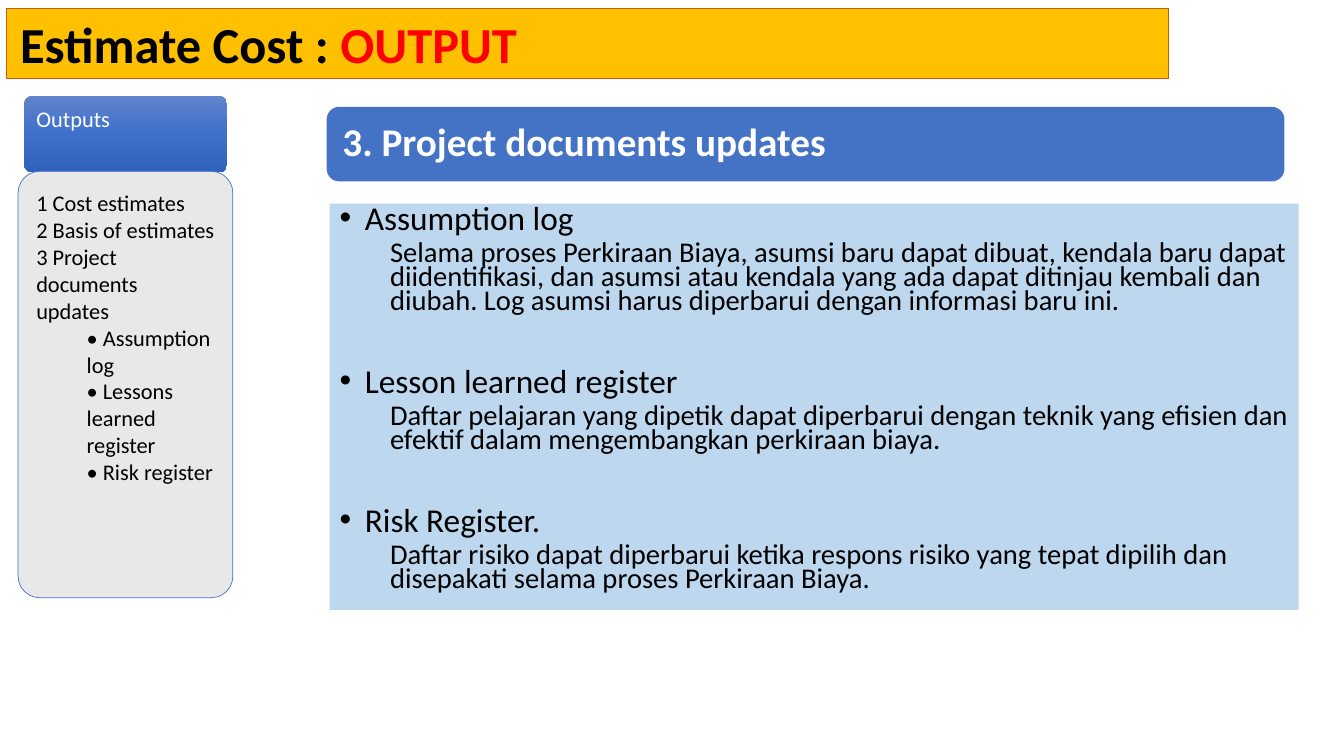
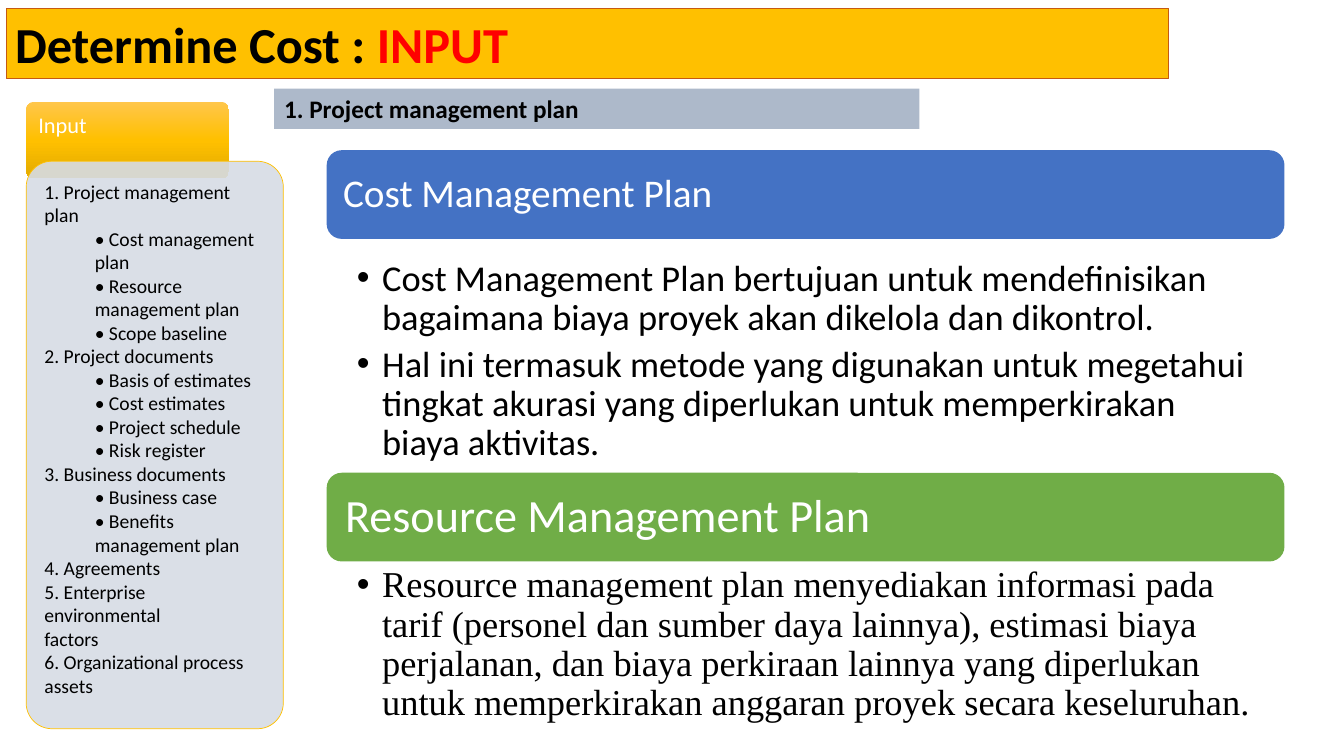
"""Build two slides on project cost inputs and outputs."""
from copy import deepcopy

from lxml import etree
from pptx import Presentation
from pptx.dml.color import RGBColor
from pptx.enum import shapes, text
from pptx.oxml.ns import qn
from pptx.util import Inches, Pt

BLACK = RGBColor(0x00, 0x00, 0x00)
WHITE = RGBColor(0xFF, 0xFF, 0xFF)
RED = RGBColor(0xFF, 0x00, 0x00)
AMBER = RGBColor(0xFF, 0xC0, 0x00)
RUST = RGBColor(0xC5, 0x5A, 0x11)
BLUE = RGBColor(0x44, 0x72, 0xC4)
GREEN = RGBColor(0x70, 0xAD, 0x47)
PALE_BLUE = RGBColor(0xBD, 0xD7, 0xEE)
SLATE = RGBColor(0xAD, 0xB9, 0xCA)
LIGHT_GREY = RGBColor(0xE7, 0xE6, 0xE6)
LIGHT_SLATE = RGBColor(0xD6, 0xDC, 0xE5)
BLUE_SHADES = [RGBColor(0x61, 0x83, 0xCB), RGBColor(0x3E, 0x70, 0xCA), RGBColor(0x30, 0x62, 0xBB)]
AMBER_SHADES = [RGBColor(0xFF, 0xC6, 0x4B), AMBER, RGBColor(0xE3, 0xAB, 0x00)]

FONT = "Calibri"
SERIF = "Times New Roman"
CARD_ROUNDING = 0.1
CORNER_INSET = 0.29

OUTPUTS = [
    (0, "1 Cost estimates"),
    (0, "2 Basis of estimates"),
    (0, "3 Project documents updates"),
    (1, "• Assumption log"),
    (1, "• Lessons learned register"),
    (1, "• Risk register"),
]
INPUTS = [
    (0, "1. Project management plan"),
    (1, "• Cost management plan"),
    (1, "• Resource management plan"),
    (1, "• Scope baseline"),
    (0, "2. Project documents"),
    (1, "• Basis of estimates"),
    (1, "• Cost estimates"),
    (1, "• Project schedule"),
    (1, "• Risk register"),
    (0, "3. Business documents"),
    (1, "• Business case"),
    (1, "• Benefits management plan"),
    (0, "4. Agreements"),
    (0, "5. Enterprise environmental"),
    (0, "factors"),
    (0, "6. Organizational process assets"),
]
UPDATES = [
    ("Assumption log",
     "Selama proses Perkiraan Biaya, asumsi baru dapat dibuat, kendala baru dapat "
     "diidentifikasi, dan asumsi atau kendala yang ada dapat ditinjau kembali dan diubah. "
     "Log asumsi harus diperbarui dengan informasi baru ini."),
    ("Lesson learned register",
     "Daftar pelajaran yang dipetik dapat diperbarui dengan teknik yang efisien dan efektif "
     "dalam mengembangkan perkiraan biaya."),
    ("Risk Register.",
     "Daftar risiko dapat diperbarui ketika respons risiko yang tepat dipilih dan disepakati "
     "selama proses Perkiraan Biaya."),
]
COST_PLAN = [
    "Cost Management Plan bertujuan untuk mendefinisikan bagaimana biaya proyek akan dikelola "
    "dan dikontrol.",
    "Hal ini termasuk metode yang digunakan untuk megetahui tingkat akurasi yang diperlukan "
    "untuk memperkirakan biaya aktivitas.",
]
RESOURCE_PLAN = [
    "Resource management plan menyediakan informasi pada tarif (personel dan sumber daya "
    "lainnya), estimasi biaya perjalanan, dan biaya perkiraan lainnya yang diperlukan untuk "
    "memperkirakan anggaran proyek secara keseluruhan.",
]


def style_font(para, size, color=BLACK, bold=False, name=FONT):
    """Set the font shared by all runs of a paragraph."""
    para.font.name = name
    para.font.size = Pt(size)
    para.font.bold = bold
    para.font.color.rgb = color


def set_indent(para, left, first=0, bullet=False):
    """Set the paragraph margin, first-line indent and optional bullet."""
    properties = para._p.get_or_add_pPr()
    properties.set("marL", str(Inches(left)))
    properties.set("indent", str(Inches(first)))
    if bullet:
        etree.SubElement(properties, qn("a:buFont"), typeface="Arial")
        etree.SubElement(properties, qn("a:buChar"), char="•")


def set_frame(box, margins, anchor=text.MSO_ANCHOR.TOP):
    """Prepare a wrapped text frame with left, top, right, bottom margins."""
    frame = box.text_frame
    frame.word_wrap = True
    frame.auto_size = text.MSO_AUTO_SIZE.NONE
    frame.vertical_anchor = anchor
    frame.margin_left, frame.margin_top, frame.margin_right, frame.margin_bottom = map(Inches, margins)
    return frame


def add_para(frame, content):
    """Return a new left-aligned paragraph, reusing the empty first one."""
    first = frame.paragraphs[0]
    para = frame.add_paragraph() if first.runs else first
    para.alignment = text.PP_ALIGN.LEFT
    para.add_run().text = content
    return para


def add_box(slide, place, fill=None, rounding=None):
    """Add a borderless rectangle, rounded when a rounding is given."""
    kind = shapes.MSO_SHAPE.RECTANGLE if rounding is None else shapes.MSO_SHAPE.ROUNDED_RECTANGLE
    box = slide.shapes.add_shape(kind, *map(Inches, place))
    box.shadow.inherit = False
    box.line.fill.background()
    if rounding is not None:
        box.adjustments[0] = rounding
    if fill is not None:
        box.fill.solid()
        box.fill.fore_color.rgb = fill
    return box


def add_title(slide, topic, stage, indent):
    """Format the title placeholder as the amber band."""
    title = slide.shapes.title
    title.left, title.top, title.width, title.height = map(Inches, (0.06, 0.08, 11.53, 0.7))
    title.fill.solid()
    title.fill.fore_color.rgb = AMBER
    title.line.color.rgb = RUST
    title.line.width = Pt(0.75)
    frame = set_frame(title, (indent, 0.05, 0.09, 0.05), text.MSO_ANCHOR.MIDDLE)
    para = add_para(frame, topic)
    style_font(para, 36, bold=True)
    span = para.add_run()
    span.text = stage
    span.font.color.rgb = RED


def add_banner(slide, top, height, content, size, fill, inset=0.12, bold=False):
    """Add a rounded section heading."""
    box = add_box(slide, (3.24, top, 9.5, height), fill, 0.17)
    frame = set_frame(box, (inset, 0.05, inset, 0.05), text.MSO_ANCHOR.MIDDLE)
    para = add_para(frame, content)
    para.line_spacing = 0.9
    style_font(para, size, WHITE, bold)


def add_bullets(slide, top, height, items, name=FONT):
    """Add a bulleted text box under a banner."""
    box = slide.shapes.add_textbox(*map(Inches, (3.24, top, 9.5, height)))
    frame = set_frame(box, (0.3, 0.05, 0.26, 0.05))
    for item in items:
        para = add_para(frame, item)
        set_indent(para, 0.25, -0.25, bullet=True)
        para.line_spacing = 0.9
        para.space_after = Pt(5.2)
        style_font(para, 26, name=name)


def add_tab(slide, place, label, shades):
    """Add the gradient tab that heads the sidebar."""
    tab = add_box(slide, place, rounding=CARD_ROUNDING)
    tab.fill.gradient()
    tab.fill.gradient_angle = 270
    stop_list = tab._element.spPr.find(qn("a:gradFill")).find(qn("a:gsLst"))
    stop_list.insert(1, deepcopy(stop_list[0]))
    for stop, position, shade in zip(tab.fill.gradient_stops, (0, 0.5, 1), shades):
        stop.position = position
        stop.color.rgb = shade
    para = add_para(set_frame(tab, (0.1, 0.1, 0.1, 0.3)), label)
    para.line_spacing = 0.9
    style_font(para, 16, WHITE)


def add_sidebar(slide, place, entries, size, fill, outline):
    """Add the translucent sidebar card with its two-level list."""
    card = add_box(slide, place, fill, CARD_ROUNDING)
    color = card._element.spPr.find(qn("a:solidFill"))[0]
    etree.SubElement(color, qn("a:alpha"), val="90000")
    card.line.color.rgb = outline
    card.line.width = Pt(0.5)
    margin = 0.18 - CORNER_INSET * CARD_ROUNDING * min(place[2:])
    frame = set_frame(card, (margin,) * 4)
    for level, entry in entries:
        para = add_para(frame, entry)
        set_indent(para, 0.5 * level)
        style_font(para, size)


def add_updates(slide):
    """Add the panel of document updates with their explanations."""
    panel = add_box(slide, (3.27, 2.02, 9.61, 4.03), PALE_BLUE)
    frame = set_frame(panel, (0.1, 0.05, 0.1, 0.05))
    for index, (heading, detail) in enumerate(UPDATES):
        para = add_para(frame, heading)
        set_indent(para, 0.25, -0.25, bullet=True)
        para.line_spacing = 0.7
        if index:
            para.space_before = Pt(40)
        style_font(para, 23.8)
        para = add_para(frame, detail)
        set_indent(para, 0.5)
        para.line_spacing = 0.7
        para.space_before = Pt(5)
        style_font(para, 20.4)


def add_caption(slide, content):
    """Add the flat caption above the plan sections."""
    box = add_box(slide, (2.72, 0.88, 6.4, 0.4), SLATE)
    style_font(add_para(set_frame(box, (0.1, 0.05, 0.1, 0.05)), content), 18, bold=True)


def build_output_slide(slide):
    """Fill the slide on cost estimate outputs."""
    add_title(slide, "Estimate Cost : ", "OUTPUT", 0.14)
    add_banner(slide, 1.06, 0.74, "3. Project documents updates", 28, BLUE, bold=True)
    add_updates(slide)
    add_tab(slide, (0.24, 0.95, 2.01, 0.76), "Outputs", BLUE_SHADES)
    add_sidebar(slide, (0.18, 1.7, 2.13, 4.23), OUTPUTS, 16, LIGHT_GREY, BLUE)


def build_input_slide(slide):
    """Fill the slide on cost determination inputs."""
    add_title(slide, "Determine Cost : ", "INPUT", 0.09)
    add_banner(slide, 1.49, 0.88, "Cost Management Plan", 28, BLUE)
    add_bullets(slide, 2.53, 2.17, COST_PLAN)
    add_banner(slide, 4.69, 0.88, "Resource Management Plan", 33, GREEN, 0.14)
    add_bullets(slide, 5.57, 1.64, RESOURCE_PLAN, SERIF)
    add_tab(slide, (0.26, 1.01, 2.01, 0.76), "Input", AMBER_SHADES)
    add_sidebar(slide, (0.26, 1.6, 2.55, 5.63), INPUTS, 14, LIGHT_SLATE, AMBER)
    add_caption(slide, "1. Project management plan")


def main():
    """Build and save the deck."""
    deck = Presentation()
    deck.slide_width, deck.slide_height = Inches(13.33), Inches(7.5)
    for build in (build_output_slide, build_input_slide):
        build(deck.slides.add_slide(deck.slide_layouts[5]))
    deck.save("out.pptx")


if __name__ == "__main__":
    main()
